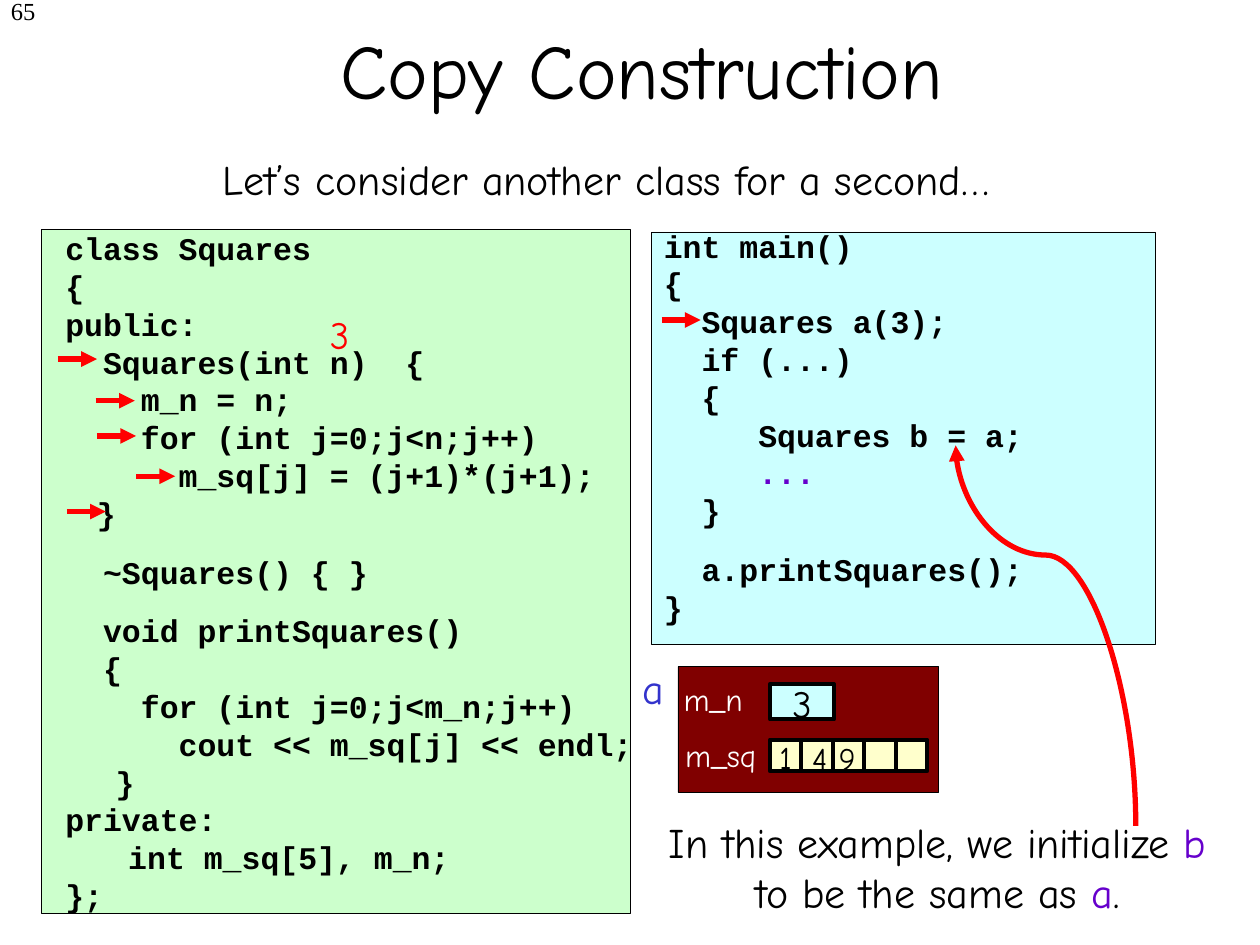
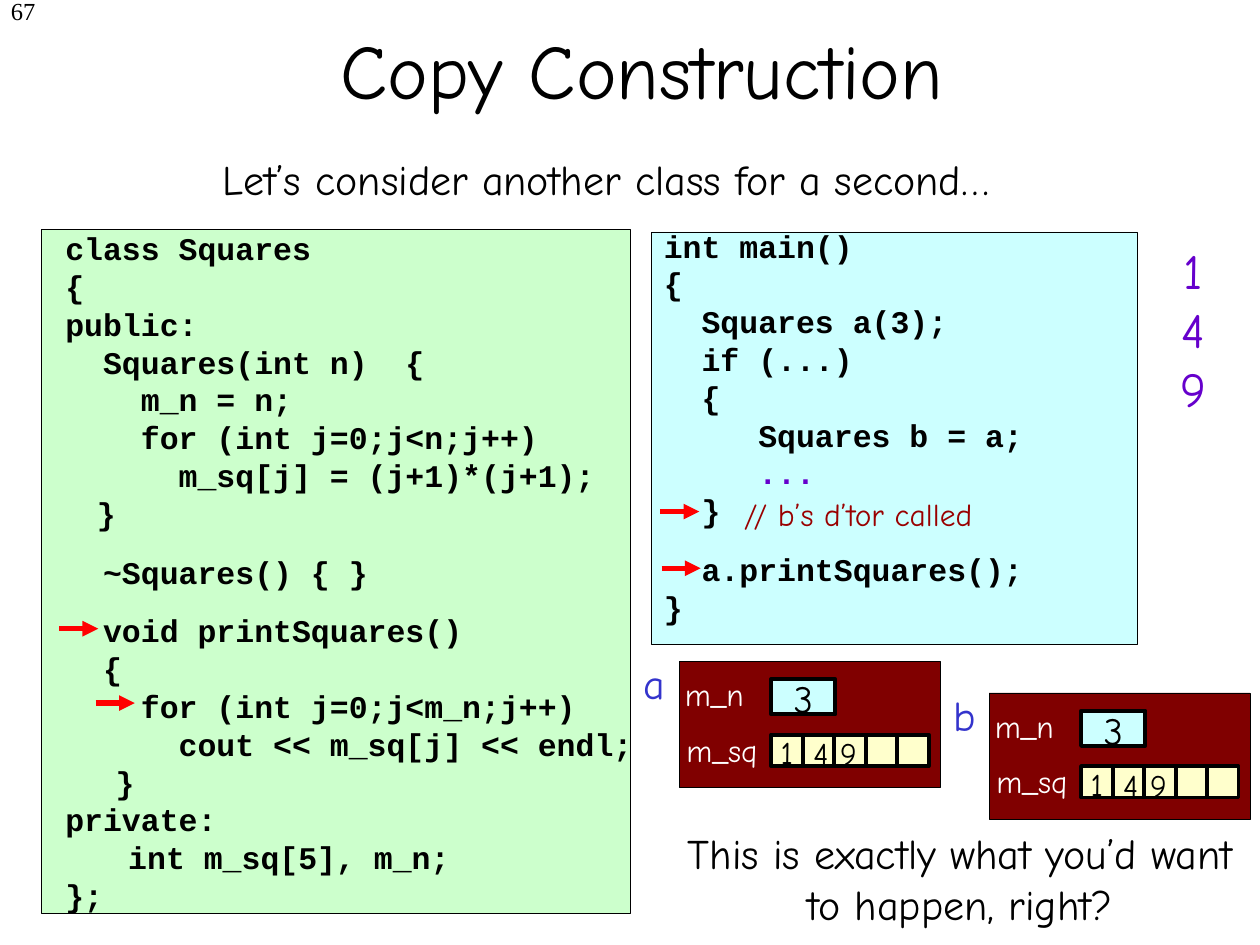
from lxml import etree
from pptx import Presentation
from pptx.dml.color import RGBColor
from pptx.enum.shapes import MSO_CONNECTOR, MSO_SHAPE
from pptx.enum.text import MSO_ANCHOR, PP_ALIGN
from pptx.oxml.ns import qn
from pptx.util import Inches, Pt

RECT = MSO_SHAPE.RECTANGLE
LINE, CURVE = MSO_CONNECTOR.STRAIGHT, MSO_CONNECTOR.CURVE
LEFT, MID, RIGHT = PP_ALIGN.LEFT, PP_ALIGN.CENTER, PP_ALIGN.RIGHT

# Shared look
HAND, CODE, SERIF = "Comic Neue", "Courier New", "Times New Roman"
BLACK, WHITE, RED = "000000", "FFFFFF", "FF0000"
PURPLE, BLUE, BROWN = "6600CC", "3333CC", "990000"
GREEN, CYAN, CREAM, MAROON = "CCFFCC", "CCFFFF", "FFFFCC", "800000"
COL = 0.15   # width of one code column
GAP = 12     # points that set a code block apart
STEP = 0.31  # length of a marker arrow

# Code lines: columns of indent, text, then space before and colour if any
CLASS = [
    (0, "class Squares"),
    (0, "{"),
    (0, "public:"),
    (2, "Squares(int n)  {"),
    (4, "m_n = n;"),
    (4, "for (int j=0;j<n;j++)"),
    (6, "m_sq[j] = (j+1)*(j+1);"),
    (1.67, "}"),
    (2, "~Squares() { }", GAP),
    (2, "void printSquares()", GAP),
    (2, "{"),
    (4, "for (int j=0;j<m_n;j++)"),
    (6, "cout << m_sq[j] << endl;"),
    (2.67, "}"),
    (0, "private:"),
    (3.33, "int m_sq[5], m_n;"),
    (0, "};"),
]
MAIN = [
    (0, "int main()"),
    (0, "{"),
    (2, "Squares a(3);"),
    (2, "if (...)"),
    (2, "{"),
    (5, "Squares b = a;"),
    (5, "...", 0, PURPLE),
    (2, "}"),
    (2, "a.printSquares();", GAP),
    (0, "}"),
]


def rgb(hue):
    return RGBColor.from_string(hue)


def box(shapes, x, y, w, h, fill, width=0.25):
    rect = shapes.add_shape(RECT, Inches(x), Inches(y), Inches(w), Inches(h))
    rect.shadow.inherit = False
    rect.fill.solid()
    rect.fill.fore_color.rgb = rgb(fill)
    rect.line.color.rgb = rgb(BLACK)
    rect.line.width = Pt(width)


def frame(shapes, x, y, w, h, wrap=True):
    area = shapes.add_textbox(Inches(x), Inches(y), Inches(w), Inches(h))
    area.text_frame.word_wrap = wrap
    return area.text_frame


def add_run(para, words, size, hue=BLACK, font=HAND, bold=False):
    run = para.add_run()
    run.text = words
    run.font.size = Pt(size)
    run.font.name = font
    run.font.bold = bold
    run.font.color.rgb = rgb(hue)


def lines(body):
    """Yield the first paragraph of a text frame, then new ones."""
    yield body.paragraphs[0]
    while True:
        yield body.add_paragraph()


def label(shapes, x, y, w, h, rows, size, hue=BLACK, wrap=False,
          align=MID, font=HAND):
    body = frame(shapes, x, y, w, h, wrap)
    for row, para in zip(rows, lines(body)):
        para.alignment = align
        add_run(para, row, size, hue, font)
    return body


def code(shapes, x, y, w, h, rows):
    body = frame(shapes, x, y, w, h)
    for (cols, words, *more), para in zip(rows, lines(body)):
        space, hue = (more + [0, BLACK][len(more):])
        props = para._p.get_or_add_pPr()
        props.set("marL", str(Inches(cols * COL)))
        props.set("indent", "0")
        para.space_before = Pt(space)
        add_run(para, words, 18, hue, CODE, True)


def arrow(shapes, x1, y1, x2, y2, kind=LINE):
    link = shapes.add_connector(kind, Inches(x1), Inches(y1),
                                Inches(x2), Inches(y2))
    link.line.color.rgb = rgb(RED)
    link.line.width = Pt(3)
    props = link._element.spPr
    etree.SubElement(props.find(qn("a:ln")), qn("a:tailEnd"), type="triangle")
    etree.SubElement(props, qn("a:effectLst"))
    return props


def marks(shapes, spots):
    for x, y in spots:
        arrow(shapes, x, y, x + STEP, y)


def swoop(shapes):
    """Curve that climbs from the remark to the line that makes b."""
    props = arrow(shapes, 9.81, 4.33, 6.79, 5.76, CURVE)
    props.find(qn("a:xfrm")).set("rot", "5400000")
    geom = props.find(qn("a:prstGeom"))
    guides = geom.find(qn("a:avLst"))
    if guides is None:
        guides = etree.SubElement(geom, qn("a:avLst"))
    etree.SubElement(guides, qn("a:gd"), name="adj1", fmla="val 71200")


def thing(slide, name, x, y):
    """Memory picture of one Squares object."""
    shapes = slide.shapes.add_group_shape().shapes
    box(shapes, x, y, 2.07, 1, MAROON)
    label(shapes, x - 0.39, y - 0.08, 0.39, 0.5, [name], 24, BLUE)
    box(shapes, x + 0.73, y + 0.14, 0.51, 0.28, CYAN, 2.25)
    label(shapes, x - 0.06, y + 0.06, 0.68, 0.4, ["m_n"], 18, WHITE)
    label(shapes, x - 0.06, y + 0.5, 0.8, 0.4, ["m_sq"], 18, WHITE)
    for i in range(5):
        box(shapes, x + 0.73 + i * 0.25, y + 0.58, 0.25, 0.25, CREAM, 2.25)
    label(shapes, x + 0.79, y + 0.06, 0.39, 0.47, ["3"], 22)
    for digit, dx, dy in (("1", 0.68, 0.52), ("4", 0.95, 0.53),
                          ("9", 1.17, 0.53)):
        label(shapes, x + dx, y + dy, 0.35, 0.4, [digit], 18)


def base(deck, number, width):
    """Slide with the title and both code panels."""
    slide = deck.slides.add_slide(deck.slide_layouts[6])
    shapes = slide.shapes
    label(shapes, -1.7, -0.08, 2.08, 0.5, [number], 14, wrap=True,
          align=RIGHT, font=SERIF)
    title = label(shapes, 0.36, -0.08, 9.47, 1.25, ["Copy Construction"], 44,
                  wrap=True)
    title.vertical_anchor = MSO_ANCHOR.MIDDLE
    label(shapes, 1.67, 1.17, 8.33, 0.5,
          ["Let’s consider another class for a second…"], 24, wrap=True,
          align=LEFT)
    box(shapes, 0.33, 1.82, 4.67, 5.43, GREEN)
    code(shapes, 0.42, 1.77, 4.86, 5.94, CLASS)
    box(shapes, 5.17, 1.84, width, 3.27, CYAN)
    code(shapes, 5.17, 1.75, width + 0.57, 3.27, MAIN)
    return slide


def build_a(deck):
    slide = base(deck, "65", 4)
    shapes = slide.shapes
    thing(slide, "a", 5.38, 5.29)
    marks(shapes, [(5.25, 2.54), (0.46, 2.85), (0.76, 3.18), (0.77, 3.46),
                   (1.08, 3.78), (0.53, 4.06)])
    label(shapes, 2.5, 2.42, 0.39, 0.47, ["3"], 22, RED)

    # Remark with the object names in purple
    para = frame(shapes, 5.05, 6.43, 4.78, 0.9).paragraphs[0]
    para.alignment = MID
    for words, hue in (("In this example, we initialize ", BLACK),
                       ("b", PURPLE), (" to be the same as ", BLACK),
                       ("a", PURPLE), (".", BLACK)):
        add_run(para, words, 24, hue)
    swoop(shapes)


def build_b(deck):
    slide = base(deck, "67", 3.86)
    shapes = slide.shapes
    thing(slide, "a", 5.39, 5.25)
    thing(slide, "b", 7.85, 5.5)
    marks(shapes, [(5.24, 4.06), (5.25, 4.51), (0.47, 4.99), (0.76, 5.58)])
    label(shapes, 5.69, 3.88, 2.24, 0.4, ["// b’s d’tor called"], 18, BROWN)
    label(shapes, 9.25, 1.86, 0.44, 1.5, ["1", "4", "9"], 28, PURPLE)
    label(shapes, 5.24, 6.52, 4.76, 0.9,
          ["This is exactly what you’d want to happen, right?"], 24, wrap=True)


def main():
    deck = Presentation()
    deck.slide_width, deck.slide_height = Inches(10), Inches(7.5)
    build_a(deck)
    build_b(deck)
    deck.save("out.pptx")


if __name__ == "__main__":
    main()
